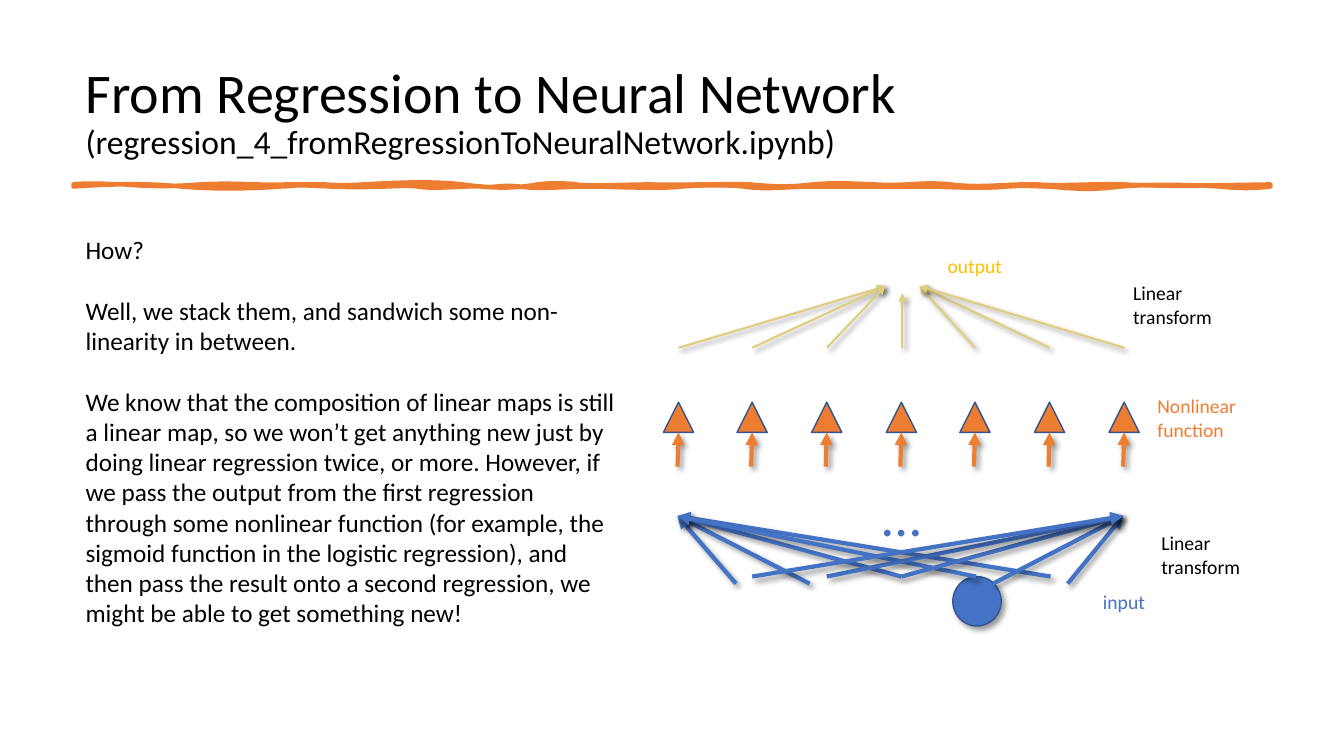
from dataclasses import dataclass

from lxml.etree import Element, SubElement
from pptx import Presentation
from pptx.dml.color import RGBColor
from pptx.enum.shapes import MSO_CONNECTOR, MSO_SHAPE
from pptx.enum.text import MSO_ANCHOR, PP_ALIGN
from pptx.oxml.ns import qn
from pptx.util import Emu, Pt

PX = 9144
FONT = "Calibri"
COLOURS = {
    "text": "000000",
    "orange": "ED7D31",
    "blue": "4472C4",
    "outline": "325491",
    "sand": "E0CE80",
    "gold": "FFC000",
}


@dataclass(frozen=True)
class Label:
    left: int
    top: int
    width: int
    height: int
    paragraphs: tuple[str, ...]
    colour: str = "text"
    size: int = 14
    gap: float = 0


@dataclass(frozen=True)
class Arrow:
    start: tuple[int, int]
    end: tuple[int, int]
    colour: str
    weight: float = 3


LABELS = (
    Label(75, 228, 548, 404, (
        "How?",
        "Well, we stack them, and sandwich some non-linearity in between.",
        "We know that the composition of linear maps is still a linear map, so we won’t get "
        "anything new just by doing linear regression twice, or more. However, if we pass the "
        "output from the first regression through some nonlinear function (for example, the "
        "sigmoid function in the logistic regression), and then pass the result onto a second "
        "regression, we might be able to get something new!",
    ), size=18, gap=21.6),
    Label(1114, 274, 118, 57, ("Linear transform",)),
    Label(865, 472, 58, 80, ("…",), "blue", 40),
    Label(1138, 386, 108, 59, ("Nonlinear function",), "orange"),
    Label(930, 247, 91, 35, ("output",), "gold"),
    Label(1084, 580, 75, 35, ("input",), "blue"),
    Label(1142, 522, 118, 57, ("Linear transform",)),
)

NEURONS = [673 + index * 442 // 6 for index in range(7)]
LEFT_HUB, RIGHT_HUB = (672, 512), (1114, 512)
INPUT_ARROWS = [
    Arrow(start, hub, "blue")
    for hub, starts in (
        (LEFT_HUB, ((730, 579), (803, 579), (1042, 572), (894, 572), (968, 572))),
        (RIGHT_HUB, ((1059, 579), (985, 579), (894, 572), (820, 572), (746, 572))),
    )
    for start in starts
]
NEURON_ARROWS = [Arrow((x - 1, 463), (x, 429), "orange") for x in NEURONS]
OUTPUT_TIPS = [(878, 284)] * 3 + [(895, 291)] + [(912, 284)] * 3
OUTPUT_ARROWS = [
    Arrow((tip[0] if index == 3 else x, 345), tip, "sand", 1.5)
    for index, (x, tip) in enumerate(zip(NEURONS, OUTPUT_TIPS))
]

RULE_START = (73, 183)
RULE_CURVES = (
    (89, 181, 111, 183, 124, 183), (136, 184, 162, 186, 198, 183),
    (234, 181, 251, 184, 284, 183), (317, 183, 307, 183, 322, 183),
    (338, 184, 342, 184, 361, 183), (380, 182, 424, 179, 459, 183),
    (494, 188, 517, 186, 533, 183), (549, 181, 563, 182, 572, 183),
    (581, 185, 625, 183, 646, 183), (667, 184, 723, 182, 744, 183),
    (765, 185, 782, 186, 806, 183), (830, 181, 838, 182, 868, 183),
    (899, 185, 914, 180, 943, 183), (972, 187, 1002, 182, 1029, 183),
    (1055, 185, 1078, 182, 1115, 183), (1151, 185, 1199, 184, 1260, 183),
    (1260, 184, 1260, 184, 1260, 185), (1242, 187, 1230, 187, 1210, 185),
    (1190, 184, 1149, 182, 1112, 185), (1075, 189, 1070, 187, 1038, 185),
    (1005, 184, 1018, 184, 999, 185), (980, 187, 948, 186, 925, 185),
    (902, 185, 884, 186, 863, 185), (841, 185, 828, 185, 800, 185),
    (773, 186, 757, 188, 738, 185), (719, 183, 688, 184, 676, 185),
    (663, 187, 624, 186, 590, 185), (555, 185, 537, 188, 515, 185),
    (494, 183, 491, 187, 477, 185), (463, 184, 430, 188, 414, 185),
    (399, 183, 371, 187, 328, 185), (286, 183, 303, 184, 278, 185),
    (253, 187, 213, 188, 180, 185), (147, 182, 118, 182, 73, 185),
)


def colour_of(name: str) -> RGBColor:
    return RGBColor.from_string(COLOURS[name])


def px(*lengths: int) -> list[Emu]:
    return [Emu(length * PX) for length in lengths]


def add_shadow(item) -> None:
    effects = SubElement(item._element.spPr, qn("a:effectLst"))
    shadow = SubElement(effects, qn("a:outerShdw"), blurRad=str(Pt(4)), dist=str(Pt(3)),
                        dir="2700000", algn="tl", rotWithShape="0")
    black = SubElement(shadow, qn("a:srgbClr"), val="000000")
    SubElement(black, qn("a:alpha"), val="40000")


def style_run(run, size: int, colour: str) -> None:
    run.font.name = FONT
    run.font.size = Pt(size)
    run.font.color.rgb = colour_of(colour)


def style_shape(shape, fill: str, outline: str, weight: float) -> None:
    shape.shadow.inherit = False
    shape.fill.solid()
    shape.fill.fore_color.rgb = colour_of(fill)
    shape.line.color.rgb = colour_of(outline)
    shape.line.width = Pt(weight)


def add_title(slide) -> None:
    text_frame = slide.shapes.add_textbox(*px(75, 40, 1167, 145)).text_frame
    text_frame.word_wrap = True
    text_frame.vertical_anchor = MSO_ANCHOR.MIDDLE
    paragraph = text_frame.paragraphs[0]
    paragraph.text = (
        "From Regression to Neural Network\v(regression_4_fromRegressionToNeuralNetwork.ipynb)"
    )
    paragraph.line_spacing = 0.9
    for run, size in zip(paragraph.runs, (40, 24)):
        style_run(run, size, "text")


def add_rule(slide) -> None:
    left, top = RULE_START
    builder = slide.shapes.build_freeform(left, top, scale=PX)
    builder.add_line_segments([curve[4:] for curve in RULE_CURVES], close=True)
    rule = builder.convert_to_shape()
    segments = list(rule._element.spPr.iter(qn("a:lnTo")))
    for segment, curve in zip(segments, RULE_CURVES):
        bend = Element(qn("a:cubicBezTo"))
        for x, y in zip(curve[::2], curve[1::2]):
            SubElement(bend, qn("a:pt"), x=str(x - left), y=str(y - top))
        segment.getparent().replace(segment, bend)
    style_shape(rule, "orange", "orange", 3.25)


def add_label(slide, label: Label) -> None:
    box = slide.shapes.add_textbox(*px(label.left, label.top, label.width, label.height))
    text_frame = box.text_frame
    text_frame.word_wrap = True
    text_frame.text = "\n".join(label.paragraphs)
    for index, paragraph in enumerate(text_frame.paragraphs):
        paragraph.alignment = PP_ALIGN.LEFT
        if index:
            paragraph.space_before = Pt(label.gap)
        for run in paragraph.runs:
            style_run(run, label.size, label.colour)


def add_arrow(slide, arrow: Arrow) -> None:
    connector = slide.shapes.add_connector(MSO_CONNECTOR.STRAIGHT, *px(*arrow.start, *arrow.end))
    connector.line.color.rgb = colour_of(arrow.colour)
    connector.line.width = Pt(arrow.weight)
    SubElement(connector.line._get_or_add_ln(), qn("a:tailEnd"), type="triangle")
    add_shadow(connector)


def add_input_node(slide) -> None:
    node = slide.shapes.add_shape(MSO_SHAPE.OVAL, *px(945, 572, 48, 49))
    style_shape(node, "blue", "outline", 1)
    node._element.spPr.remove(node._element.spPr.find(qn("a:effectLst")))
    add_shadow(node)


def main() -> None:
    presentation = Presentation()
    presentation.slide_width, presentation.slide_height = px(1333, 750)
    slide = presentation.slides.add_slide(presentation.slide_layouts[6])
    add_title(slide)
    add_rule(slide)
    add_input_node(slide)
    for x in NEURONS:
        triangle = slide.shapes.add_shape(MSO_SHAPE.ISOSCELES_TRIANGLE, *px(x - 15, 399, 30, 30))
        style_shape(triangle, "orange", "outline", 1)
    for arrow in INPUT_ARROWS + NEURON_ARROWS + OUTPUT_ARROWS:
        add_arrow(slide, arrow)
    for label in LABELS:
        add_label(slide, label)
    presentation.save("out.pptx")


if __name__ == "__main__":
    main()
